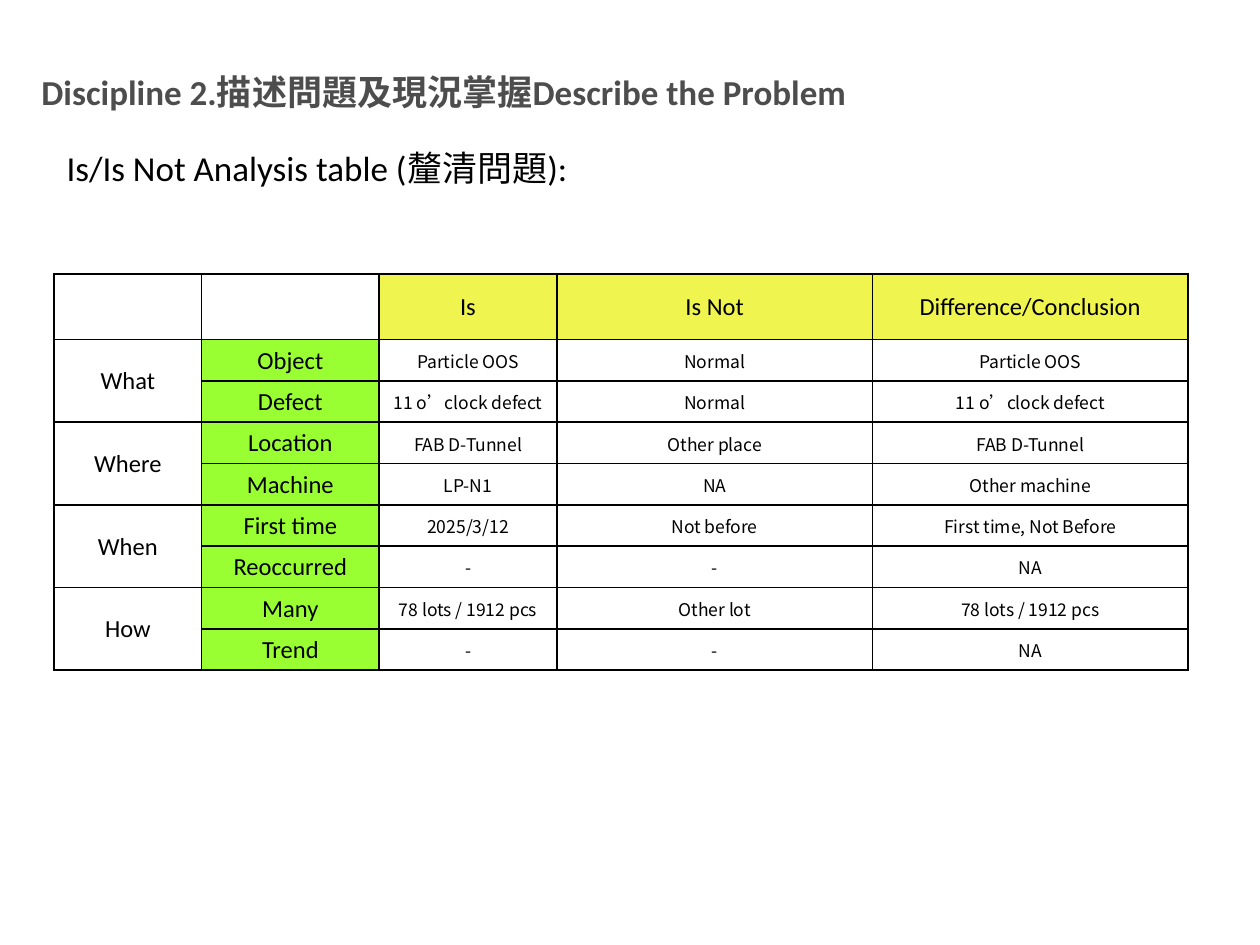
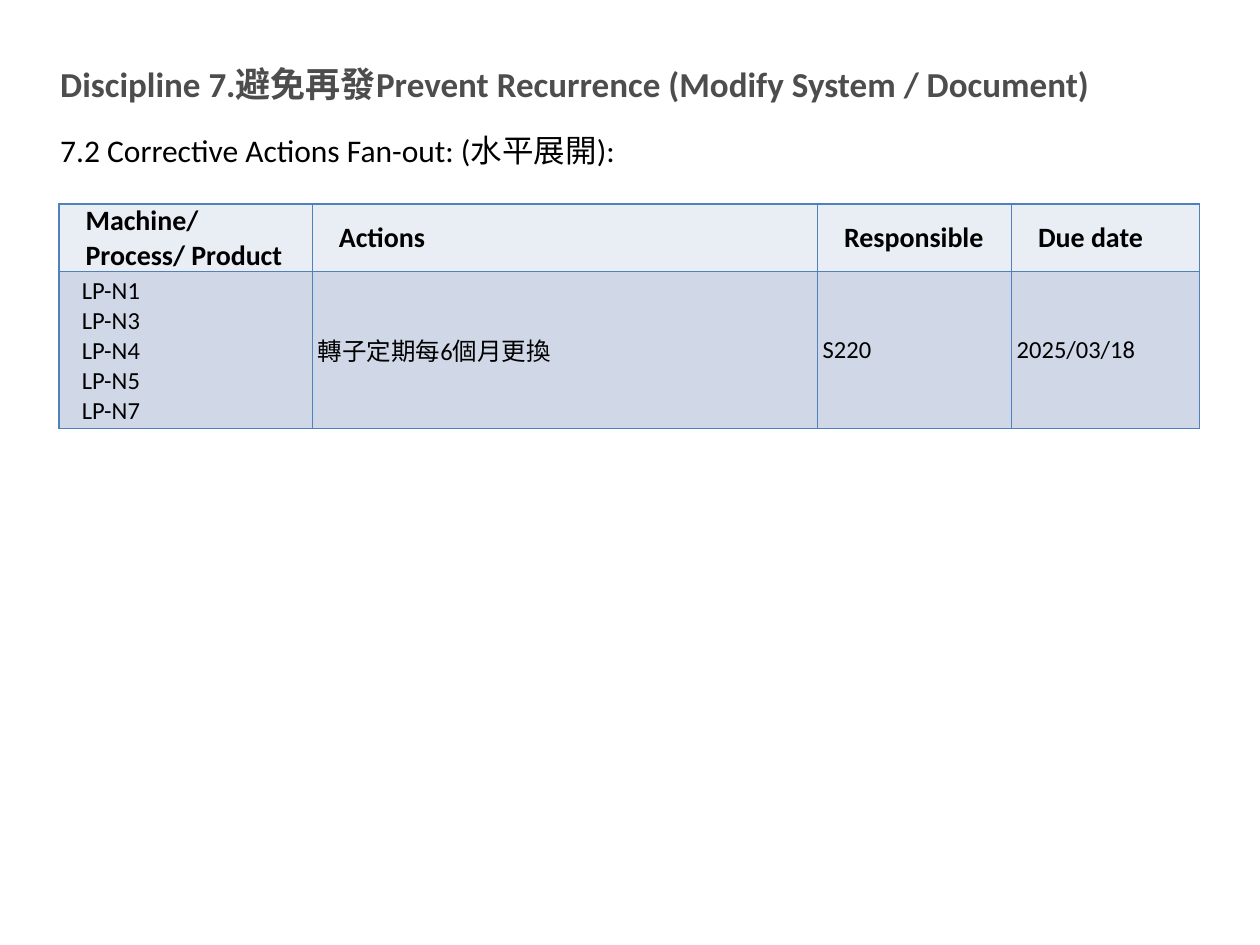
from lxml import etree
from pptx import Presentation, util as u
from pptx.dml.color import RGBColor
from pptx.enum import text
from pptx.oxml.ns import qn

# Shared style
BLACK = RGBColor(0x00, 0x00, 0x00)
WHITE = RGBColor(0xFF, 0xFF, 0xFF)
TITLE_GREY = RGBColor(0x4D, 0x4D, 0x4D)
YELLOW = RGBColor(0xF0, 0xF4, 0x4E)
GREEN = RGBColor(0x99, 0xFF, 0x33)
BLUE_LINE = RGBColor(0x4F, 0x81, 0xBD)
BLUE_HEAD = RGBColor(0xE9, 0xED, 0xF4)
BLUE_BODY = RGBColor(0xD0, 0xD8, 0xE8)
LATIN, CJK = "Calibri", "Noto Sans CJK SC"
COLUMNS, ROWS = 100, 75  # slide grid


def write(frame, lines, size=14, font=LATIN, color=BLACK, bold=False,
          align=text.PP_ALIGN.LEFT, indent=0):
    """Fill a text frame, one paragraph per line of text."""
    for number, line in enumerate(lines.split("\n")):
        para = frame.add_paragraph() if number else frame.paragraphs[0]
        para.alignment = align
        if indent:
            para._p.get_or_add_pPr().set("marL", str(u.Inches(indent)))
        if not line:
            continue
        span = para.add_run()
        span.text = line
        span.font.name, span.font.size = font, u.Pt(size)
        span.font.bold, span.font.color.rgb = bold, color
        east = etree.SubElement(span._r.get_or_add_rPr(), qn("a:ea"))
        east.set("typeface", CJK)


class Pages:
    def __init__(self):
        self.deck = Presentation()
        self.deck.slide_width, self.deck.slide_height = u.Inches(10), u.Inches(7.5)
        self.page = None

    def across(self, columns):
        return round(self.deck.slide_width * columns / COLUMNS)

    def down(self, rows):
        return round(self.deck.slide_height * rows / ROWS)

    def new_page(self):
        self.page = self.deck.slides.add_slide(self.deck.slide_layouts[6])

    def label(self, words, left, top, width, height,
              anchor=text.MSO_ANCHOR.TOP, **style):
        box = self.page.shapes.add_textbox(
            self.across(left), self.down(top), self.across(width), self.down(height))
        frame = box.text_frame
        frame.word_wrap = True
        frame.auto_size = text.MSO_AUTO_SIZE.SHAPE_TO_FIT_TEXT
        frame.vertical_anchor = anchor
        write(frame, words, **style)

    def title(self, words, left, top, width):
        self.label(words, left, top, width, 4.4, anchor=text.MSO_ANCHOR.MIDDLE,
                   size=20, color=TITLE_GREY, bold=True)

    def table(self, cells, left, top, widths, heights, line, style_of):
        """Draw a table; style_of(row, column) gives fill, margins and text style."""
        table = self.page.shapes.add_table(
            len(heights), len(widths), self.across(left), self.down(top),
            self.across(sum(widths)), self.down(sum(heights))).table
        table.first_row = table.horz_banding = False
        for column, width in zip(table.columns, widths):
            column.width = self.across(width)
        for row, height in zip(table.rows, heights):
            row.height = self.down(height)
        for r, words in enumerate(cells):
            for c, word in enumerate(words):
                fill, margins, style = style_of(r, c)
                self.cell(table.cell(r, c), word, fill, margins, line, style)
        return table

    def cell(self, cell, words, fill, margins, line, style):
        cell.fill.solid()
        cell.fill.fore_color.rgb = fill
        cell.vertical_anchor = text.MSO_ANCHOR.MIDDLE
        side, above, below = map(u.Inches, margins)
        cell.margin_left = cell.margin_right = side
        cell.margin_top, cell.margin_bottom = above, below
        write(cell.text_frame, words, **style)
        # Borders come before the fill in the cell properties
        for place, edge in enumerate(("a:lnL", "a:lnR", "a:lnT", "a:lnB")):
            border = etree.Element(qn(edge), w=str(u.Pt(1)))
            paint = etree.SubElement(border, qn("a:solidFill"))
            etree.SubElement(paint, qn("a:srgbClr"), val=str(line))
            cell._tc.get_or_add_tcPr().insert(place, border)


# Slide: describe the problem
ANALYSIS = [
    ["", "", "Is", "Is Not", "Difference/Conclusion"],
    ["What", "Object", "Particle OOS", "Normal", "Particle OOS"],
    ["", "Defect", "11 o’clock defect", "Normal", "11 o’clock defect"],
    ["Where", "Location", "FAB D-Tunnel", "Other place", "FAB D-Tunnel"],
    ["", "Machine", "LP-N1", "NA", "Other machine"],
    ["When", "First time", "2025/3/12", "Not before", "First time, Not Before"],
    ["", "Reoccurred", "-", "-", "NA"],
    ["How", "Many", "78 lots / 1912 pcs", "Other lot", "78 lots / 1912 pcs"],
    ["", "Trend", "-", "-", "NA"],
]


def analysis_style(row, column):
    fill = WHITE
    if row == 0 and column > 1:
        fill = YELLOW
    elif row > 0 and column == 1:
        fill = GREEN
    style = {"align": text.PP_ALIGN.CENTER}
    if row > 0 and column > 1:
        style.update(size=10, font=CJK)
    return fill, (0.01, 0.01, 0), style


def describe_problem(pages):
    pages.new_page()
    pages.title("Discipline 2.描述問題及現況掌握Describe the Problem", 2.3, 5.1, 96.5)
    pages.label("Is/Is Not Analysis table (釐清問題):", 4.3, 11.1, 48, 4.4, size=20)
    table = pages.table(ANALYSIS, 4.3, 21.75, [11.7, 14.1, 14.1, 25.05, 25.05],
                        [5.2] + [3.28] * 8, BLACK, analysis_style)
    for top in range(1, len(ANALYSIS), 2):
        table.cell(top, 0).merge(table.cell(top + 1, 0))


# Slide: prevent recurrence
FAN_OUT = [
    ["Machine/ Process/ Product", "Actions", "Responsible", "Due date"],
    ["LP-N1\nLP-N3\nLP-N4\nLP-N5\nLP-N7", "轉子定期每6個月更換", "S220", "2025/03/18"],
]


def fan_out_style(row, column):
    if row == 0:
        return BLUE_HEAD, (0.07, 0, 0), {"size": 16, "bold": True, "indent": 0.14}
    return BLUE_BODY, (0.04, 0.04, 0.04), {"indent": 0 if column else 0.14}


def prevent_recurrence(pages):
    pages.new_page()
    pages.title("Discipline 7.避免再發Prevent Recurrence (Modify System / Document)",
                3.8, 4.4, 96.3)
    pages.label("7.2 Corrective Actions Fan-out: (水平展開):", 3.8, 9.9, 79.7, 4, size=18)
    pages.table(FAN_OUT, 4.7, 16.2, [20.1, 40.1, 15.4, 14.9], [5.35, 12.45],
                BLUE_LINE, fan_out_style)


def main():
    pages = Pages()
    describe_problem(pages)
    prevent_recurrence(pages)
    pages.deck.save("out.pptx")


if __name__ == "__main__":
    main()
